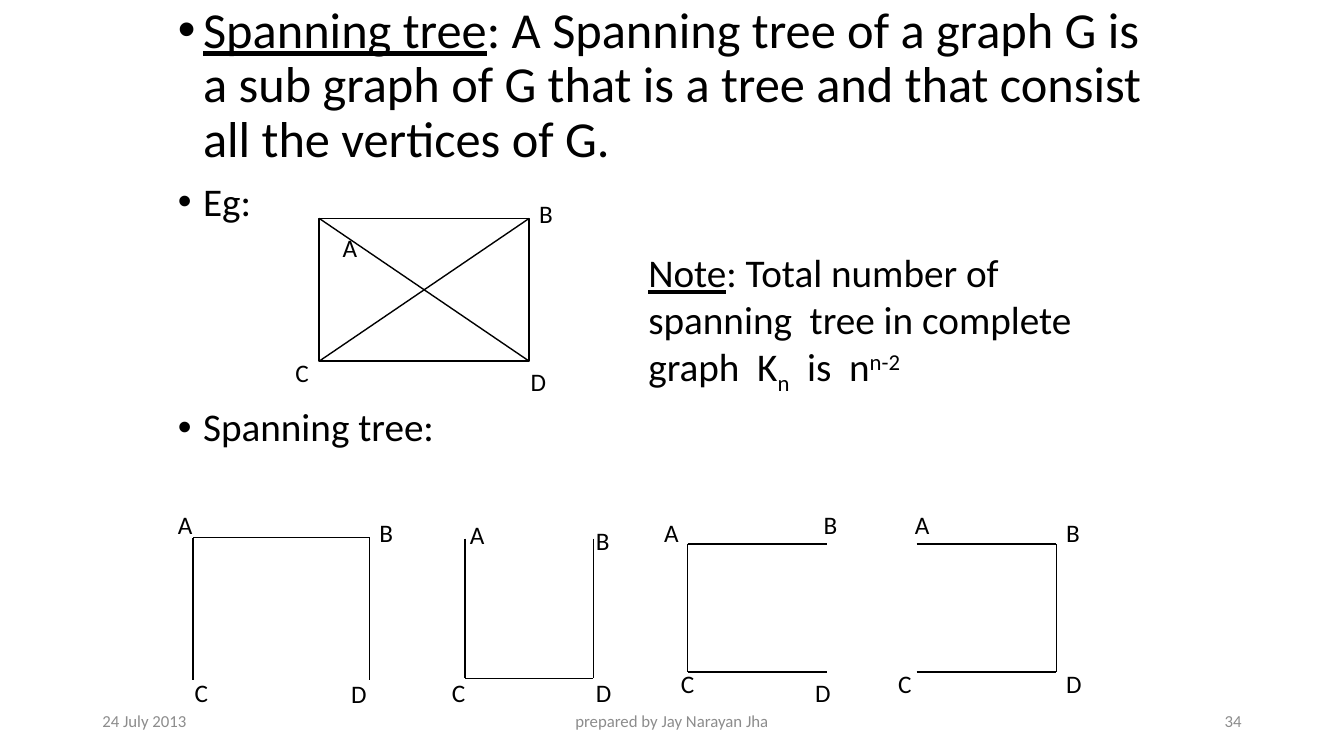
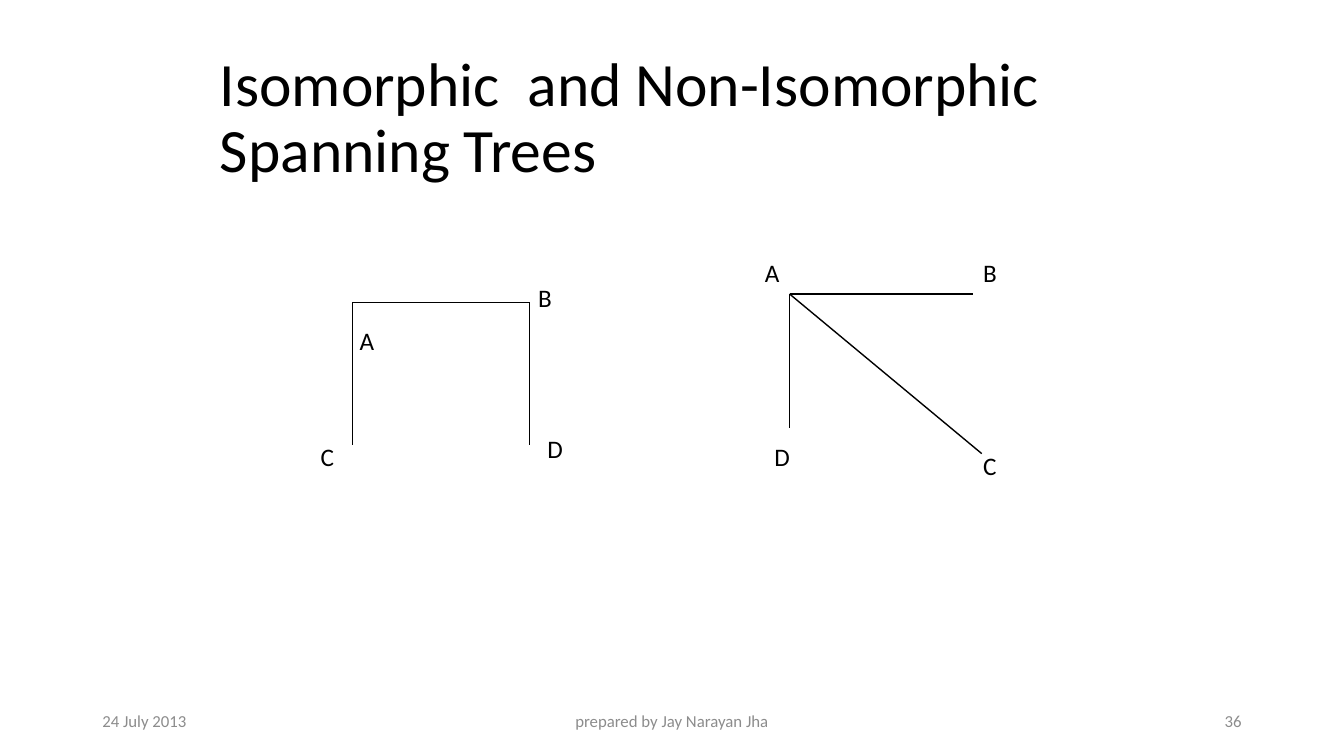
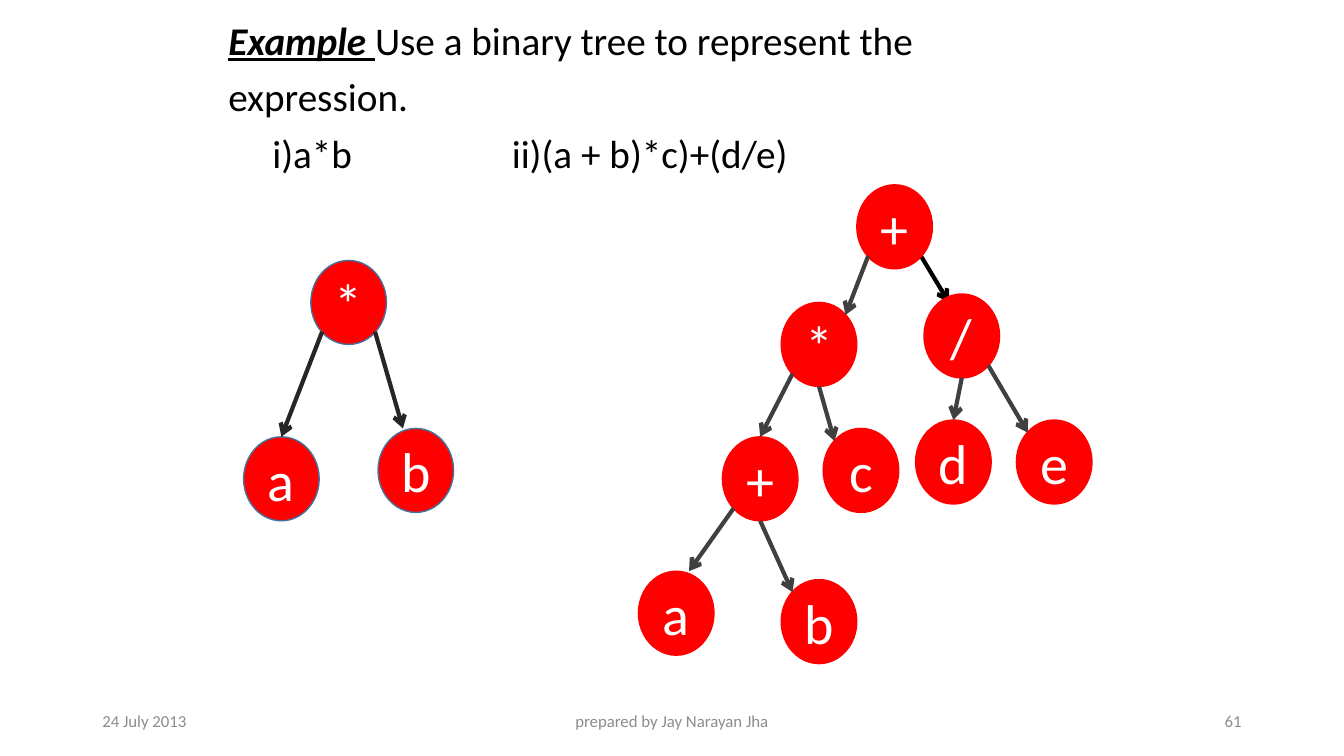
from dataclasses import dataclass
from lxml.etree import SubElement
from pptx import Presentation
from pptx.dml.color import RGBColor
from pptx.enum.shapes import MSO_CONNECTOR as Connector, MSO_SHAPE as Preset
from pptx.enum.text import MSO_ANCHOR as Anchor, PP_ALIGN as Align
from pptx.oxml.ns import qn
from pptx.util import Pt

PX = 9525  # EMU per px, 96 px to the inch


@dataclass(frozen=True)
class Theme:
    font: str = "Calibri"
    ink: str = "000000"
    paper: str = "FFFFFF"
    muted: str = "8C8C8C"
    node: str = "FF0000"
    node_outline: str = "43739E"
    dark_arrow: str = "262626"
    arrow: str = "404040"
    title: int = 44
    node_text: int = 40
    lead: int = 36
    body: int = 28
    label: int = 18
    footer: int = 12


THEME = Theme()


def frame(left, top, width, height):
    """Corner points A, B, C, D of a rectangle, row by row."""
    return {"A": (left, top), "B": (left + width, top),
            "C": (left, top + height), "D": (left + width, top + height)}


# ---- Content: a run is (text, style), a paragraph is (runs, format) ----
FOOTER = [
    ((88, 667, 288, 38), "24 July 2013", Align.LEFT),
    ((424, 667, 432, 38), "prepared by Jay Narayan Jha", Align.CENTER),
    ((904, 667, 288, 38), "{number}", Align.RIGHT),
]

SPANNING_BODY = [
    ([("Spanning tree", {"size": THEME.lead, "underline": True}),
      (": A Spanning tree of a graph G is a sub graph of G that is a tree "
       "and that consist all the vertices of G.", {"size": THEME.lead})],
     {"bullet": True}),
    ([("Eg:", {})], {"bullet": True, "before": 10}),
    ([("Spanning tree:", {})], {"bullet": True, "before": 131}),
]
SPANNING_NOTE = [
    ([("Note", {"underline": True}),
      (": Total number of spanning  tree in complete graph  K", {}),
      ("n", {"baseline": -25}), ("  is  n", {}), ("n-2", {"baseline": 30})], {}),
]
ISOMORPHIC_TITLE = [([("Isomorphic  and Non-Isomorphic\vSpanning Trees", {})], {})]
EXPRESSION_BODY = [
    ([("Example ", {"bold": True, "italic": True, "underline": True}),
      ("Use a binary tree to represent the", {})], {}),
    ([("expression.", {})], {"before": 10}),
    ([("\ti)a*b\tii)(a + b)*c)+(d/e)", {})], {"before": 10, "tabs": (42, 270)}),
]

# Graphs: vertex points, edges, label positions in the order A, B, C, D
COMPLETE_BOX = (304, 208, 200, 136)
SPANNING_GRAPHS = [
    (frame(*COMPLETE_BOX), "AD BC",
     [(317, 217), (504, 184), (272, 336), (496, 344)]),
    (frame(184, 512, 168, 136), "AB AC BD",
     [(160, 480), (352, 488), (176, 640), (325, 641)]),
    (frame(443, 513, 122, 133), "AC CD BD",
     [(438, 490), (558, 496), (421, 640), (558, 640)]),
    (frame(655, 518, 133, 122), "AB AC CD",
     [(623, 488), (775, 480), (639, 632), (767, 640)]),
    (frame(873, 518, 133, 122), "AB BD CD",
     [(862, 480), (1006, 488), (846, 632), (1006, 632)]),
]
ISOMORPHIC_GRAPHS = [
    (frame(336, 288, 168, 136), "AB AC BD",
     [(333, 305), (503, 264), (296, 416), (512, 408)]),
    ({"A": (752, 280), "B": (927, 280), "C": (935, 432), "D": (752, 408)},
     "AB AC AD", [(719, 240), (927, 240), (927, 424), (728, 416)]),
]

# Points on a node, as shares of its width and height
TOP, BOTTOM = (0.5, 0), (0.5, 1)
UPPER_LEFT, UPPER_RIGHT = (0.15, 0.15), (0.85, 0.15)
LOWER_LEFT, LOWER_RIGHT = (0.15, 0.85), (0.85, 0.85)
NODE_WIDTH, NODE_HEIGHT = 72, 80

# Trees: nodes by name (text, left, top); edges (parent, point, child, point)
EXPRESSION_TREES = [
    {"outline": THEME.node_outline, "arrow": THEME.dark_arrow,
     "nodes": {"product": ("*", 296, 248), "b": ("b", 360, 408), "a": ("a", 232, 416)},
     "behind": [],
     "front": [("product", LOWER_RIGHT, "b", (0.33, 0)),
               ("product", LOWER_LEFT, "a", TOP)]},
    {"outline": THEME.node, "arrow": THEME.arrow,
     "nodes": {"root": ("+", 816, 176), "product": ("*", 744, 288),
               "quotient": ("/", 880, 280), "sum": ("+", 688, 416),
               "c": ("c", 784, 408), "d": ("d", 872, 400), "e": ("e", 968, 400),
               "a": ("a", 608, 544), "b": ("b", 744, 552)},
     "behind": [("root", LOWER_RIGHT, "quotient", (0.33, 0.1))],
     "front": [("root", LOWER_LEFT, "product", UPPER_RIGHT),
               ("product", LOWER_LEFT, "sum", TOP),
               ("product", BOTTOM, "c", UPPER_LEFT),
               ("quotient", BOTTOM, "d", TOP),
               ("quotient", LOWER_RIGHT, "e", UPPER_LEFT),
               ("sum", LOWER_LEFT, "a", (0.67, 0)),
               ("sum", BOTTOM, "b", UPPER_LEFT)]},
]


# ---- Text ----
def emu(values):
    return [round(value * PX) for value in values]


def color(value):
    return RGBColor.from_string(value)


def add_run(paragraph, text, size, ink, bold=None, italic=None, underline=None, baseline=0):
    run = paragraph.add_run()
    run.text = text
    font = run.font
    font.name, font.size, font.color.rgb = THEME.font, Pt(size), color(ink)
    font.bold, font.italic, font.underline = bold, italic, underline
    if baseline:
        font._element.set("baseline", str(baseline * 1000))


def format_paragraph(paragraph, bullet=False, before=0, tabs=()):
    properties = paragraph._p.get_or_add_pPr()
    if bullet:
        properties.set("marL", str(24 * PX))
        properties.set("indent", str(-24 * PX))
        SubElement(properties, qn("a:buFont")).set("typeface", "Arial")
        SubElement(properties, qn("a:buChar")).set("char", "•")
    if tabs:
        tab_list = SubElement(properties, qn("a:tabLst"))
        for position in tabs:
            tab = SubElement(tab_list, qn("a:tab"))
            tab.set("pos", str(position * PX))
            tab.set("algn", "l")
    if before:
        paragraph.space_before = Pt(before)


def fill_text(text_frame, paragraphs, size, ink=THEME.ink, align=Align.LEFT,
              anchor=Anchor.TOP, wrap=True, spacing=None):
    text_frame.word_wrap = wrap
    text_frame.vertical_anchor = anchor
    for index, (runs, layout) in enumerate(paragraphs):
        paragraph = text_frame.add_paragraph() if index else text_frame.paragraphs[0]
        format_paragraph(paragraph, **layout)
        paragraph.alignment = align
        if spacing:
            paragraph.line_spacing = spacing
        for text, style in runs:
            for part, line in enumerate(text.split("\v")):
                if part:
                    paragraph.add_line_break()
                add_run(paragraph, line, **{"size": size, "ink": ink, **style})


def add_text(slide, box, paragraphs, size, **options):
    text_box = slide.shapes.add_textbox(*emu(box))
    fill_text(text_box.text_frame, paragraphs, size, **options)


# ---- Shapes ----
def add_shape(slide, preset, box, fill, outline):
    shape = slide.shapes.add_shape(preset, *emu(box))
    shape.shadow.inherit = False
    shape.fill.solid()
    shape.fill.fore_color.rgb = color(fill)
    shape.line.color.rgb = color(outline)
    shape.line.width = Pt(1)
    return shape


def add_line(slide, start, end, ink=THEME.ink, width=1, arrow=False):
    line = slide.shapes.add_connector(Connector.STRAIGHT, *emu(start + end))
    line.line.color.rgb = color(ink)
    line.line.width = Pt(width)
    if arrow:
        SubElement(line.line._get_or_add_ln(), qn("a:tailEnd")).set("type", "arrow")
    SubElement(line._element.spPr, qn("a:effectLst"))


def add_graph(slide, vertices, edges, labels):
    for start, end in edges.split():
        add_line(slide, vertices[start], vertices[end])
    for name, (left, top) in zip("ABCD", labels):
        add_text(slide, (left, top, 34, 38), [([(name, {})], {})], THEME.label, wrap=False)


def add_tree(slide, tree):
    nodes = tree["nodes"]

    def point(name, share):
        _, left, top = nodes[name]
        return left + share[0] * NODE_WIDTH, top + share[1] * NODE_HEIGHT

    def add_edges(edges, ink):
        for parent, leaving, child, reaching in edges:
            add_line(slide, point(parent, leaving), point(child, reaching), ink, 3, True)

    add_edges(tree["behind"], THEME.ink)
    for text, left, top in nodes.values():
        node = add_shape(slide, Preset.OVAL, (left, top, NODE_WIDTH, NODE_HEIGHT),
                         THEME.node, tree["outline"])
        fill_text(node.text_frame, [([(text, {})], {})], THEME.node_text,
                  ink=THEME.paper, align=Align.CENTER, anchor=Anchor.MIDDLE)
    add_edges(tree["front"], tree["arrow"])


# ---- Slides ----
def new_slide(presentation, number):
    slide = presentation.slides.add_slide(presentation.slide_layouts[6])
    for box, text, align in FOOTER:
        add_text(slide, box, [([(text.format(number=number), {})], {})], THEME.footer,
                 ink=THEME.muted, align=align, anchor=Anchor.MIDDLE)
    return slide


def build_spanning(presentation):
    slide = new_slide(presentation, 34)
    add_text(slide, (160, 0, 960, 720), SPANNING_BODY, THEME.body, spacing=0.9)
    add_text(slide, (608, 232, 464, 145), SPANNING_NOTE, THEME.body)
    add_shape(slide, Preset.RECTANGLE, COMPLETE_BOX, THEME.paper, THEME.ink)
    for graph in SPANNING_GRAPHS:
        add_graph(slide, *graph)


def build_isomorphic(presentation):
    slide = new_slide(presentation, 36)
    add_text(slide, (200, -44, 864, 316), ISOMORPHIC_TITLE, THEME.title,
             anchor=Anchor.MIDDLE, spacing=0.9)
    for graph in ISOMORPHIC_GRAPHS:
        add_graph(slide, *graph)


def build_expression(presentation):
    slide = new_slide(presentation, 61)
    add_text(slide, (208, 16, 864, 627), EXPRESSION_BODY, THEME.body, spacing=0.9)
    for tree in EXPRESSION_TREES:
        add_tree(slide, tree)


def main():
    presentation = Presentation()
    presentation.slide_width, presentation.slide_height = emu((1280, 720))
    for build in (build_spanning, build_isomorphic, build_expression):
        build(presentation)
    presentation.save("out.pptx")


if __name__ == "__main__":
    main()
